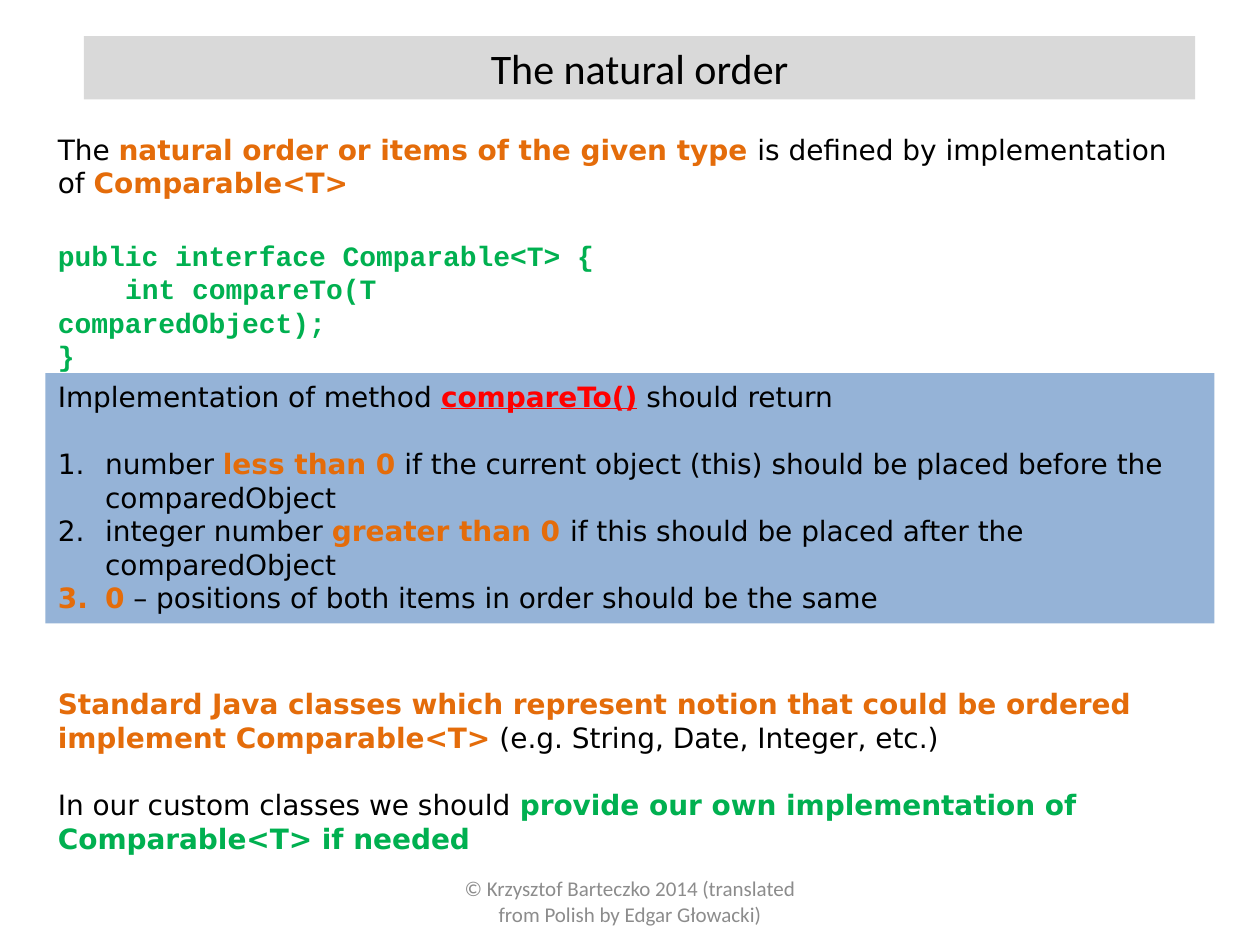
from lxml import etree
from pptx import Presentation
from pptx.dml.color import RGBColor
from pptx.enum import shapes, text
from pptx.oxml import ns
from pptx.util import Pt

COLORS = {
    "black": "000000",
    "orange": "E46C0A",
    "green": "00B050",
    "red": "FF0000",
    "title band": "D9D9D9",
    "rules panel": "95B3D7",
    "footer": "8C8C8C",
}
BODY, CODE, LABEL = "DejaVu Sans", "Courier New", "Calibri"
LINE = 19.2
LEFT, WIDTH = 26, 668


class SlideBuilder:
    """Holds the body style and the slide being filled."""

    def __init__(self, slide):
        self.slide = slide
        self.size = 16

    def text_box(self, left, top, width, height):
        box = self.slide.shapes.add_textbox(Pt(left), Pt(top), Pt(width), Pt(height))
        box.text_frame.word_wrap = True
        return box.text_frame

    def panel(self, left, top, width, height, color):
        box = self.slide.shapes.add_shape(
            shapes.MSO_SHAPE.RECTANGLE, Pt(left), Pt(top), Pt(width), Pt(height))
        box.shadow.inherit = False
        box.fill.solid()
        box.fill.fore_color.rgb = RGBColor.from_string(COLORS[color])
        box.line.fill.background()
        frame = box.text_frame
        frame.word_wrap = True
        frame.vertical_anchor = text.MSO_ANCHOR.TOP
        return frame

    def paragraph(self, frame, *spans, font=BODY, size=None, before=0,
                  line=LINE, align=text.PP_ALIGN.LEFT):
        """Each span is (words, color) plus optional style letters b and u."""
        para = frame.paragraphs[0]
        if para.runs:
            para = frame.add_paragraph()
        para.alignment = align
        para.space_before = Pt(before)
        if line:
            para.line_spacing = Pt(line)
        for words, color, *style in spans:
            span = para.add_run()
            span.text = words
            span.font.name = font
            span.font.size = Pt(size or self.size)
            span.font.color.rgb = RGBColor.from_string(COLORS[color])
            span.font.bold = "b" in "".join(style)
            span.font.underline = "u" in "".join(style)
        return para

    def label(self, frame, words, size, color):
        self.paragraph(frame, (words, color), font=LABEL, size=size,
                       line=None, align=text.PP_ALIGN.CENTER)

    def code_line(self, frame, words, indent=0):
        para = self.paragraph(frame, (words, "green", "b"), font=CODE)
        para._p.get_or_add_pPr().set("indent", str(Pt(indent)))

    def numbered(self, frame, *spans, before=0):
        properties = self.paragraph(frame, *spans, before=before)._p.get_or_add_pPr()
        properties.set("marL", str(Pt(27)))
        properties.set("indent", str(Pt(-27)))
        etree.SubElement(properties, ns.qn("a:buFont"), typeface="+mj-lt")
        etree.SubElement(properties, ns.qn("a:buAutoNum"), type="arabicPeriod")


def main():
    deck = Presentation()
    deck.slide_width, deck.slide_height = Pt(720), Pt(540)
    page = SlideBuilder(deck.slides.add_slide(deck.slide_layouts[6]))

    # Footer
    footer = page.text_box(246, 500.5, 228, 28.8)
    footer.vertical_anchor = text.MSO_ANCHOR.MIDDLE
    page.label(footer, "© Krzysztof Barteczko 2014 (translated from Polish by Edgar Głowacki)",
               12, "footer")

    # Title
    title = page.panel(48, 20.6, 635, 36.2, "title band")
    page.label(title, "The natural order", 24, "black")

    # Definition
    definition = page.text_box(LEFT, 72, WIDTH, 46)
    page.paragraph(definition, ("The ", "black"),
                   ("natural order or items of the given type ", "orange", "b"),
                   ("is defined by implementation of ", "black"),
                   ("Comparable<T>", "orange", "b"))

    # Interface code, with the method indented by four characters
    code = page.text_box(LEFT, 132.5, 345.6, 65.5)
    page.code_line(code, "public interface Comparable<T> {")
    page.code_line(code, "int compareTo(T comparedObject);", indent=38.4)
    page.code_line(code, "}")

    # Return values
    rules = page.panel(LEFT, 213.2, WIDTH, 143, "rules panel")
    page.paragraph(rules, ("Implementation of method ", "black"),
                   ("compareTo()", "red", "bu"), (" should return", "black"))
    page.numbered(rules, ("number ", "black"), ("less than 0", "orange", "b"),
                  (" if the current object (this) should be placed before the comparedObject",
                   "black"), before=LINE)
    page.numbered(rules, ("integer number ", "black"), ("greater than 0 ", "orange", "b"),
                  ("if this should be placed after the comparedObject", "black"))
    page.numbered(rules, ("0", "orange", "b"),
                  (" – positions of both items in order should be the same", "black"))

    # Advice
    advice = page.text_box(LEFT, 389, 665, 104.4)
    page.paragraph(advice,
                   ("Standard Java classes which represent notion that could be ordered "
                    "implement Comparable<T>", "orange", "b"),
                   (" (e.g. String, Date, Integer, etc.)", "black"))
    page.paragraph(advice, ("In our custom classes we should ", "black"),
                   ("provide our own implementation of Comparable<T> if needed", "green", "b"),
                   before=LINE)

    deck.save("out.pptx")


if __name__ == "__main__":
    main()
